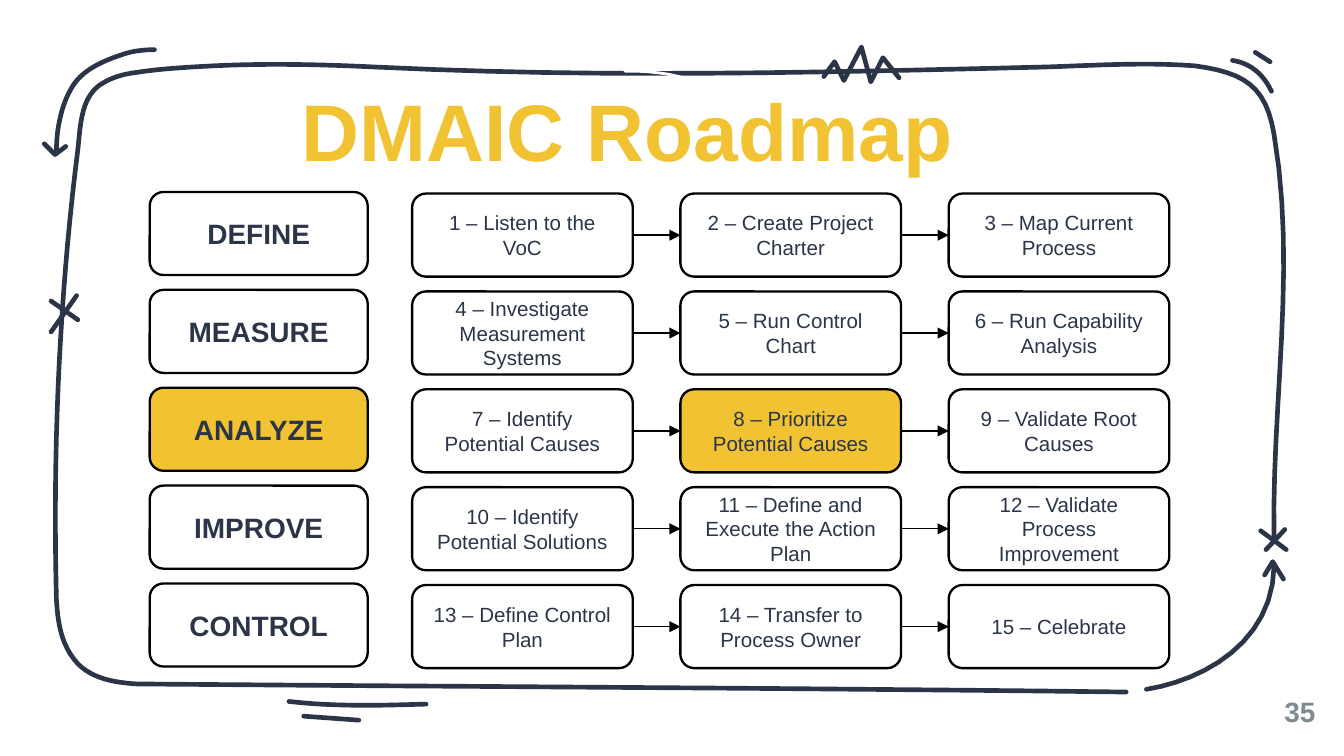
from lxml.etree import SubElement
from pptx import Presentation
from pptx.dml.color import RGBColor
from pptx.enum.shapes import MSO_CONNECTOR as Connector, MSO_SHAPE as Shape
from pptx.enum.text import MSO_ANCHOR as Anchor, PP_ALIGN as Align
from pptx.oxml.ns import qn
from pptx.util import Cm, Pt

NAVY = RGBColor(0x2B, 0x35, 0x47)
YELLOW = RGBColor(0xF1, 0xC2, 0x32)
GRAY = RGBColor(0x7F, 0x8B, 0x91)
WHITE = RGBColor(0xFF, 0xFF, 0xFF)
BLACK = RGBColor(0, 0, 0)

TITLE = {"name": "Arial", "size": Pt(43), "bold": True}
PHASE = {"name": "Arial", "size": Pt(15), "bold": True}
STEP = {"name": "Arial", "size": Pt(11), "bold": False}

ROADMAP = [
    ("DEFINE", ["1 – Listen to the VoC", "2 – Create Project Charter", "3 – Map Current Process"]),
    ("MEASURE", ["4 – Investigate Measurement Systems", "5 – Run Control Chart",
                 "6 – Run Capability Analysis"]),
    ("ANALYZE", ["7 – Identify Potential Causes", "8 – Prioritize Potential Causes",
                 "9 – Validate Root Causes"]),
    ("IMPROVE", ["10 – Identify Potential Solutions", "11 – Define and Execute the Action Plan",
                 "12 – Validate Process Improvement"]),
    ("CONTROL", ["13 – Define Control Plan", "14 – Transfer to Process Owner", "15 – Celebrate"]),
]
CURRENT = {"ANALYZE", "8 – Prioritize Potential Causes"}

GRID_WIDTH = 1000
BORDER = [
    (838, 515), (593, 512), (347, 511), (102, 509), (85, 508), (69, 505), (58, 494),
    (45, 480), (43, 462), (42, 446), (41, 405), (41, 365), (42, 325),
    (44, 253), (49, 182), (58, 111), (60, 93), (60, 70), (78, 61),
    (85, 57), (93, 55), (101, 54), (120, 51), (140, 50), (159, 49),
    (200, 47), (241, 48), (282, 50), (445, 58), (609, 54), (772, 50),
    (812, 49), (848, 46), (889, 49), (926, 54), (942, 64), (948, 100),
    (965, 200), (946, 300), (948, 403),
]
CURVES = [
    BORDER,
    [(853, 513), (896, 506), (947, 478), (948, 421)],
    [(115, 37), (107, 37), (98, 38), (90, 41), (75, 46), (60, 53), (53, 66),
     (46, 78), (42, 95), (42, 113)],
    [(917, 45), (930, 47), (940, 55), (946, 68)],
    [(215, 522), (249, 526), (283, 525), (317, 524)],
]
POLYLINES = [
    [(941, 428), (947, 418), (955, 431)],
    [(33, 107), (41, 115), (49, 109)],
    [(934, 39), (945, 46)],
    [(226, 533), (267, 536)],
    [(613, 57), (621, 46), (628, 60), (641, 35), (648, 61), (657, 43), (669, 58)],
    [(38, 224), (58, 238)],
    [(57, 220), (38, 247)],
    [(938, 395), (957, 409)],
    [(956, 394), (942, 409)],
]
GAP_CURVE = [(465, 53), (472, 53), (480, 53), (487, 54), (500, 55), (515, 59), (530, 66)]


def set_text(frame, text, color, font_values, align=Align.CENTER, spacing=None):
    """Write one formatted paragraph, centred vertically."""
    frame.word_wrap = True
    frame.vertical_anchor = Anchor.MIDDLE
    paragraph = frame.paragraphs[0]
    paragraph.alignment = align
    paragraph.line_spacing = spacing
    run = paragraph.add_run()
    run.text = text
    for name, value in font_values.items():
        setattr(run.font, name, value)
    run.font.color.rgb = color


def add_label(slide, box, text, color, font_values, **options):
    """Add a text box without margins."""
    frame = slide.shapes.add_textbox(*box).text_frame
    for side in ("left", "top", "right", "bottom"):
        setattr(frame, f"margin_{side}", 0)
    set_text(frame, text, color, font_values, **options)


def sample_curve(points, steps=12):
    """Turn a chain of cubic Bezier segments into a dense polyline."""
    samples = [points[0]]
    for first in range(0, len(points) - 1, 3):
        segment = points[first:first + 4]
        for step in range(1, steps + 1):
            t = step / steps
            weights = ((1 - t) ** 3, 3 * t * (1 - t) ** 2, 3 * t * t * (1 - t), t ** 3)
            samples.append(tuple(sum(w * p[axis] for w, p in zip(weights, segment))
                                 for axis in (0, 1)))
    return samples


def add_stroke(slide, box, points, color, width):
    """Draw an open round-capped stroke on the grid of the box."""
    left, top, box_width, _ = box
    unit = box_width / GRID_WIDTH
    placed = [(left + x * unit, top + y * unit) for x, y in points]
    builder = slide.shapes.build_freeform(*placed[0])
    builder.add_line_segments(placed[1:], close=False)
    shape = builder.convert_to_shape()
    shape.shadow.inherit = False
    shape.fill.background()
    shape.line.color.rgb = color
    shape.line.width = width
    line = shape._element.spPr.find(qn("a:ln"))
    line.set("cap", "rnd")
    SubElement(line, qn("a:round"))


def add_sketch_frame(slide, box):
    """Draw the hand-sketched border and its ornaments."""
    for points in [sample_curve(curve) for curve in CURVES] + POLYLINES:
        add_stroke(slide, box, points, NAVY, Pt(2.5))
    add_stroke(slide, box, sample_curve(GAP_CURVE), WHITE, Pt(1.5))


def add_card(slide, box, text, font_values):
    """Add a rounded card, highlighted when it is the current one."""
    shape = slide.shapes.add_shape(Shape.ROUNDED_RECTANGLE, *box)
    shape.shadow.inherit = False
    shape.fill.solid()
    shape.fill.fore_color.rgb = YELLOW if text in CURRENT else WHITE
    shape.line.color.rgb = BLACK
    shape.line.width = Pt(1.25)
    set_text(shape.text_frame, text, NAVY, font_values)
    return shape


def add_arrow(slide, source, target):
    """Join two cards from right side to left side."""
    connector = slide.shapes.add_connector(Connector.STRAIGHT, 0, 0, 0, 0)
    connector.begin_connect(source, 3)
    connector.end_connect(target, 1)
    connector.line.color.rgb = BLACK
    connector.line.width = Pt(0.75)
    properties = connector._element.spPr
    SubElement(properties.find(qn("a:ln")), qn("a:tailEnd"), type="triangle")
    SubElement(properties, qn("a:effectLst"))


def add_roadmap(slide, box):
    """Lay out one row per phase with its chain of steps."""
    left, top, width, height = box
    card_height, phase_width, step_width = Cm(1.57), Cm(4.12), Cm(4.17)
    row_pitch = (height - card_height) // (len(ROADMAP) - 1)
    column_pitch = Cm(5.07)
    for row, (phase, steps) in enumerate(ROADMAP):
        y = top + row * row_pitch
        add_card(slide, (left, y - Cm(0.03), phase_width, card_height), phase, PHASE)
        first_left = left + width - step_width - (len(steps) - 1) * column_pitch
        cards = [add_card(slide, (first_left + column * column_pitch, y, step_width, card_height),
                          step, STEP) for column, step in enumerate(steps)]
        for source, target in zip(cards, cards[1:]):
            add_arrow(slide, source, target)


def main():
    """Build and save the presentation."""
    presentation = Presentation()
    presentation.slide_width, presentation.slide_height = Cm(25.4), Cm(14.29)
    slide = presentation.slides.add_slide(presentation.slide_layouts[6])
    add_sketch_frame(slide, (0, 0, presentation.slide_width, presentation.slide_height))
    add_label(slide, (Cm(23.34), Cm(13.03), Cm(1.52), Cm(0.84)), "35", GRAY, PHASE,
              align=Align.RIGHT)
    add_label(slide, (Cm(2.92), Cm(1.5), Cm(17.86), Cm(2.11)), "DMAIC Roadmap", YELLOW, TITLE,
              spacing=0.9)
    add_roadmap(slide, (Cm(2.83), Cm(3.66), Cm(19.27), Cm(8.97)))
    presentation.save("out.pptx")


if __name__ == "__main__":
    main()
